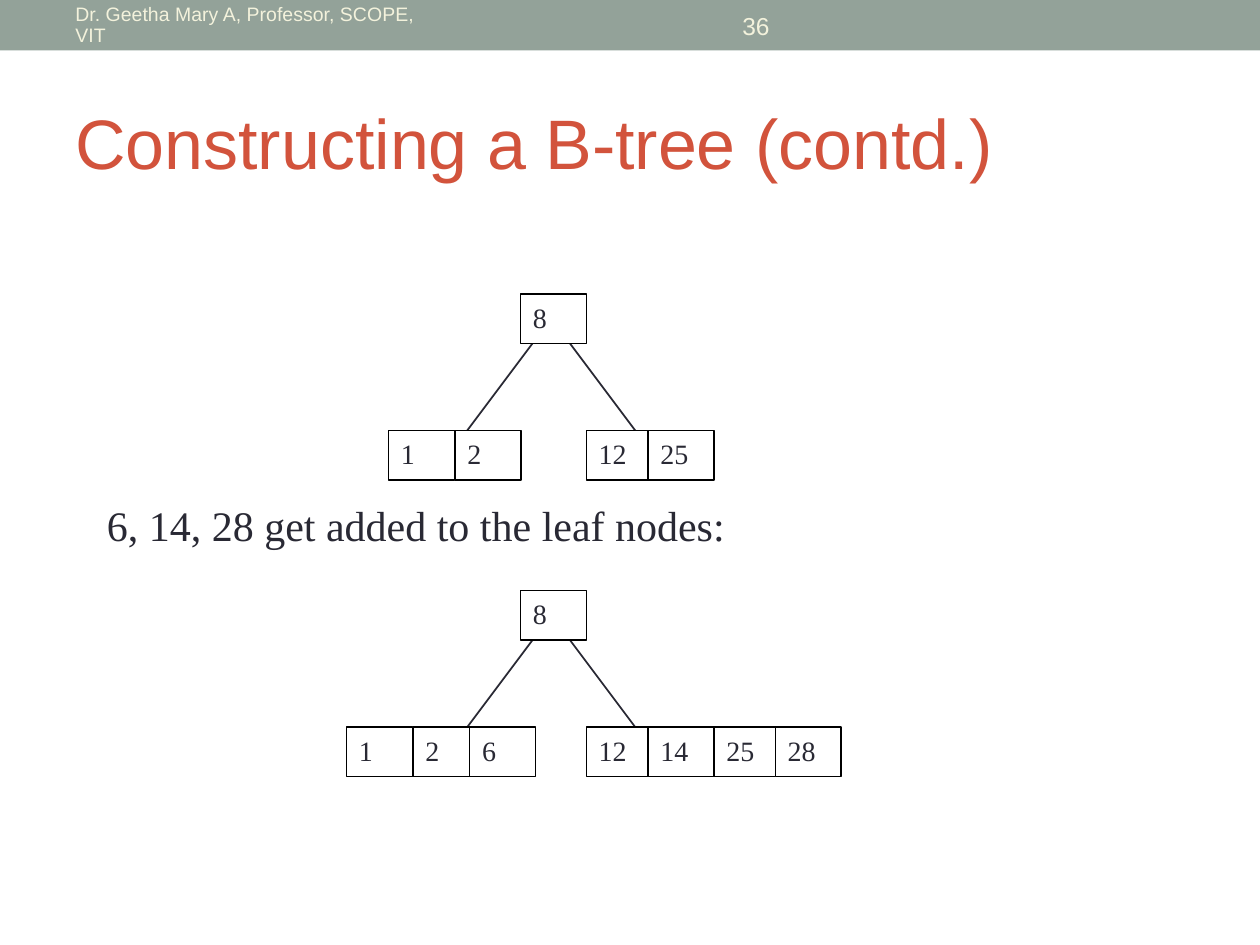
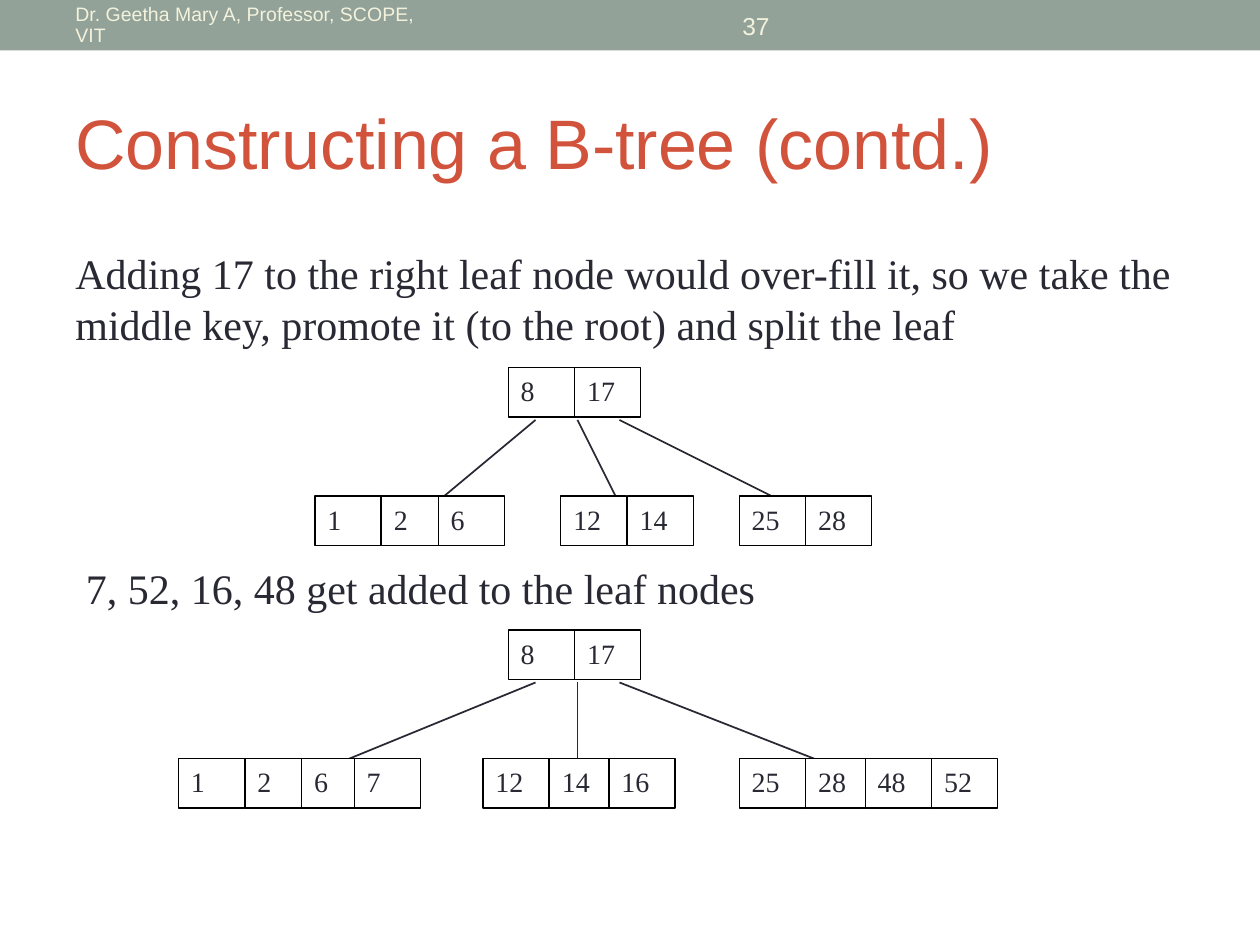
import pptx
import pptx.util
import pptx.dml.color
import pptx.enum.shapes
import pptx.enum.text
import pptx.oxml.ns
import lxml.etree

Pt = pptx.util.Pt
ALIGN = pptx.enum.text.PP_ALIGN
ANCHOR = pptx.enum.text.MSO_ANCHOR

BAND, CREAM, TITLE, INK, BLACK, WHITE = "93A299", "F3F2DC", "D2533C", "292934", "000000", "FFFFFF"
SANS, SERIF = "Arial", "Times New Roman"
CELL_WIDTH, CELL_HEIGHT = 37.7, 28.3

AUTHOR = "Dr. Geetha Mary A, Professor, SCOPE, VIT"
HEADING = "Constructing a B-tree (contd.)"

# content
SLIDES = [
    {
        "number": "36",
        "notes": [("6, 14, 28 get added to the leaf nodes:", 54, 282, 618, 36)],
        "trees": [
            {
                "root": (297.5, 168, {"8": 0}),
                "leaf_top": 246,
                "leaves": [(222, {"1": 0, "2": 38}), (335, {"12": 0, "25": 35.3})],
                "edge_top": 186,
                "edges": [(312, 258, 72), (318, 372, 72)],
            },
            {
                "root": (297.5, 337.5, {"8": 0}),
                "leaf_top": 415.5,
                "leaves": [
                    (198, {"1": 0, "2": 38, "6": 70.5}),
                    (335, {"12": 0, "14": 35.3, "25": 73, "28": 108}),
                ],
                "edge_top": 355.5,
                "edges": [(312, 258, 72), (318, 372, 72)],
            },
        ],
    },
    {
        "number": "37",
        "notes": [
            ("Adding 17 to the right leaf node would over-fill it, so we take the "
             "middle key, promote it (to the root) and split the leaf", 36, 138, 660, 65),
            ("7, 52, 16, 48 get added to the leaf nodes", 42, 318, 648, 36),
        ],
        "trees": [
            {
                "root": (290.5, 210, {"8": 0, "17": 38}),
                "leaf_top": 283.5,
                "leaves": [
                    (180, {"1": 0, "2": 38, "6": 70.5}),
                    (320.5, {"12": 0, "14": 38}),
                    (422.5, {"25": 0, "28": 38}),
                ],
                "edge_top": 240,
                "edges": [(306, 234, 60), (330, 360, 60), (354, 462, 54)],
            },
            {
                "root": (290.5, 360, {"8": 0, "17": 38}),
                "leaf_top": 433.5,
                "leaves": [
                    (102, {"1": 0, "2": 38, "6": 70.5, "7": 100.5}),
                    (276, {"12": 0, "14": 38, "16": 72}),
                    (422.5, {"25": 0, "28": 38, "48": 72, "52": 110}),
                ],
                "edge_top": 390,
                "edges": [(306, 174, 54), (330, 330, 60), (354, 492, 54)],
            },
        ],
    },
]


def color(value):
    return pptx.dml.color.RGBColor.from_string(value)


def write(box, text, size, font, ink, align=ALIGN.LEFT, anchor=ANCHOR.TOP, spacing=1.0):
    frame = box.text_frame
    frame.word_wrap = True
    frame.vertical_anchor = anchor
    para = frame.paragraphs[0]
    para.alignment = align
    para.line_spacing = spacing
    span = para.add_run()
    span.text = text
    span.font.size = Pt(size)
    span.font.name = font
    span.font.color.rgb = color(ink)


def add_text(page, place, *style, **layout):
    write(page.shapes.add_textbox(*map(Pt, place)), *style, **layout)


def add_box(page, place, fill, line=None):
    box = page.shapes.add_shape(pptx.enum.shapes.MSO_SHAPE.RECTANGLE, *map(Pt, place))
    box.shadow.inherit = False
    box.fill.solid()
    box.fill.fore_color.rgb = color(fill)
    if line:
        box.line.color.rgb = color(line)
        box.line.width = Pt(0.75)
    else:
        box.line.fill.background()
    return box


def add_edge(page, start, top, end, drop):
    edge = page.shapes.add_connector(
        pptx.enum.shapes.MSO_CONNECTOR.STRAIGHT, Pt(start), Pt(top), Pt(end), Pt(top + drop))
    edge.line.color.rgb = color(INK)
    edge.line.width = Pt(1)
    lxml.etree.SubElement(edge._element.spPr, pptx.oxml.ns.qn("a:effectLst"))


def add_node(page, left, top, keys):
    for key, offset in keys.items():
        cell = add_box(page, (left + offset, top, CELL_WIDTH, CELL_HEIGHT), WHITE, BLACK)
        write(cell, key, 16, SERIF, INK)


def add_tree(page, tree):
    for start, end, drop in tree["edges"]:
        add_edge(page, start, tree["edge_top"], end, drop)
    add_node(page, *tree["root"])
    for left, keys in tree["leaves"]:
        add_node(page, left, tree["leaf_top"], keys)


def add_page(deck, content):
    page = deck.slides.add_slide(deck.slide_layouts[6])
    add_box(page, (0, 0, 720, 28.8), BAND)
    add_text(page, (36, 1.5, 228, 26), AUTHOR, 11.1, SANS, CREAM, anchor=ANCHOR.MIDDLE, spacing=0.9)
    add_text(page, (270, 1.5, 324, 26), content["number"], 14, SANS, CREAM,
             align=ALIGN.CENTER, anchor=ANCHOR.MIDDLE)
    add_text(page, (36, 42, 648, 78), HEADING, 40, SANS, TITLE, anchor=ANCHOR.MIDDLE)
    for text, *place in content["notes"]:
        add_text(page, place, text, 24, SERIF, INK)
    for tree in content["trees"]:
        add_tree(page, tree)


def main():
    deck = pptx.Presentation()
    deck.slide_width, deck.slide_height = Pt(720), Pt(540)
    for content in SLIDES:
        add_page(deck, content)
    deck.save("out.pptx")


if __name__ == "__main__":
    main()
